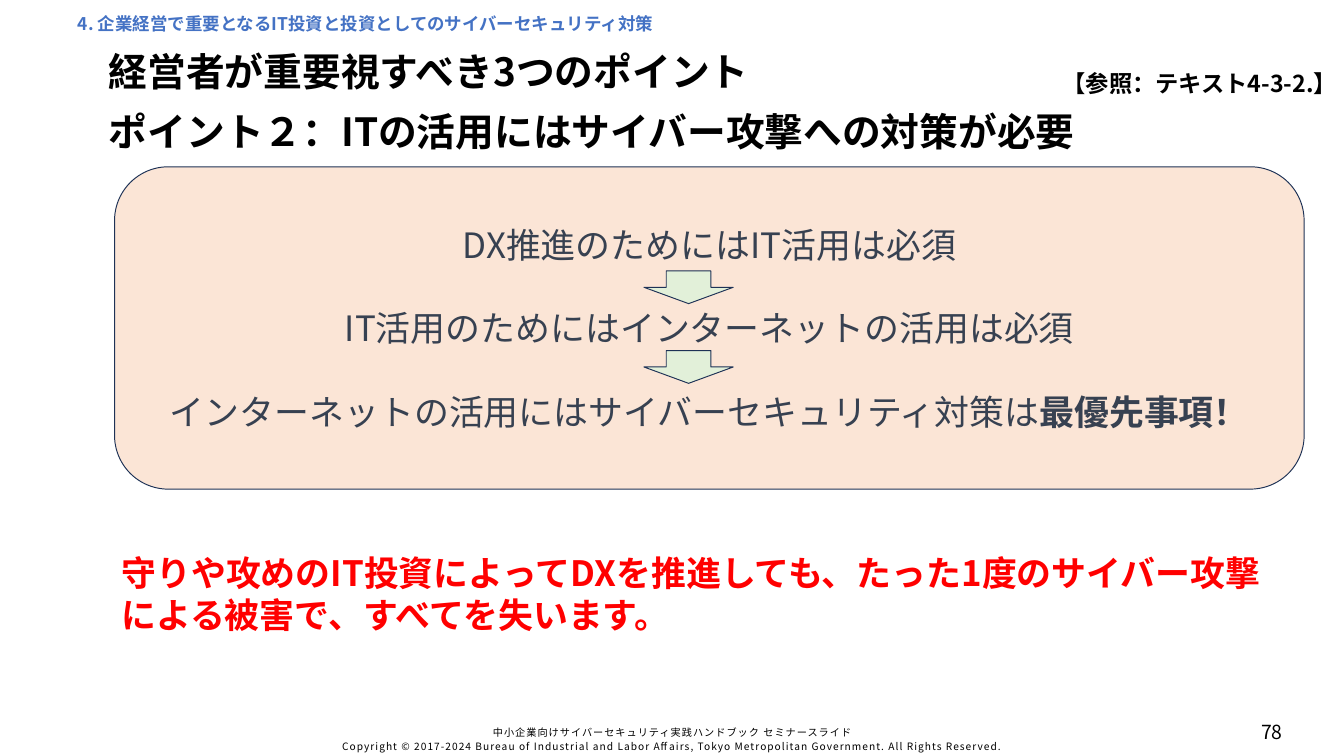
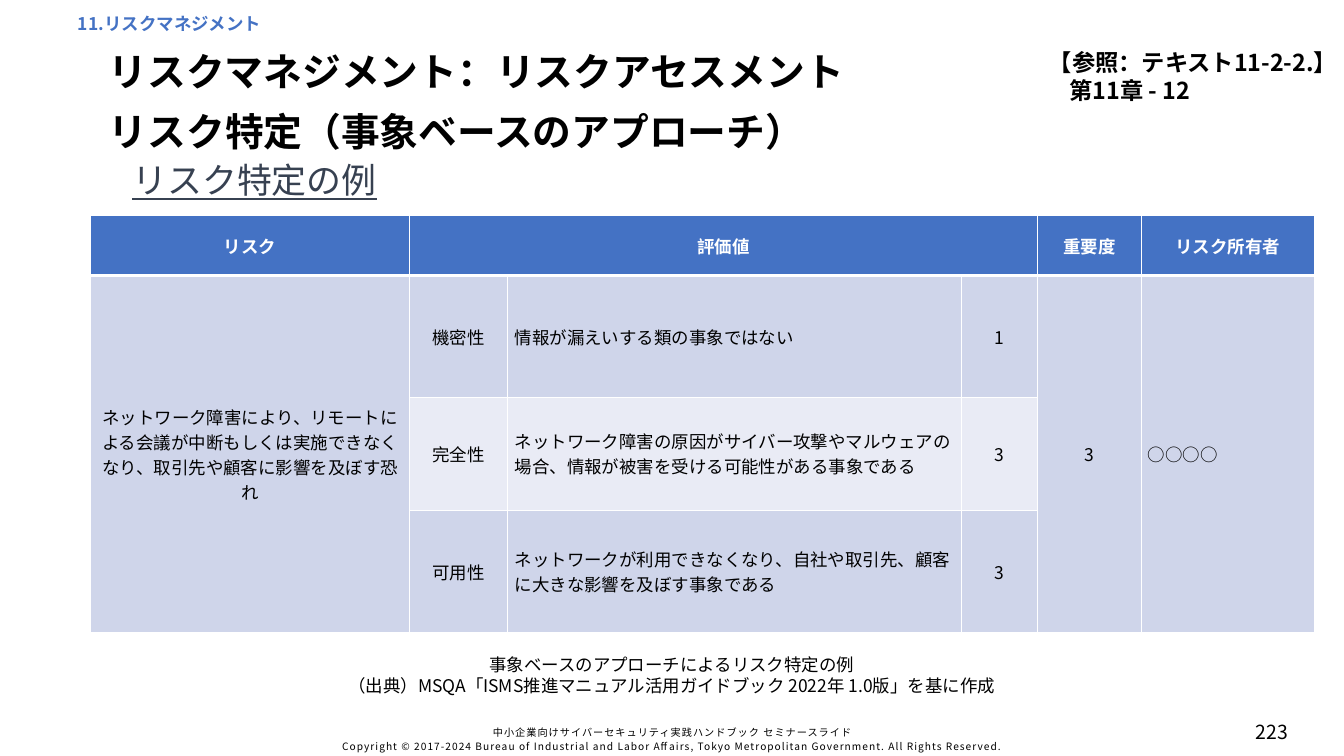
import pptx
import pptx.util
import pptx.dml.color
import pptx.enum.shapes
import pptx.enum.text
import pptx.oxml.ns
from lxml import etree

Cm, Pt = pptx.util.Cm, pptx.util.Pt
SHAPE = pptx.enum.shapes.MSO_SHAPE
ANCHOR = pptx.enum.text.MSO_ANCHOR
ALIGN = pptx.enum.text.PP_ALIGN
qn = pptx.oxml.ns.qn

FONT = "Noto Sans CJK JP"
COLORS = {
    "text": "000000", "heading": "4472C4", "slate": "374151", "alert": "FF0000",
    "white": "FFFFFF", "outline": "1E3256", "panel": "FBE5D6", "arrow": "E2F0D9",
    "band_dark": "CFD5EA", "band_light": "E9EBF5",
}
FOOTER = [
    "中小企業向けサイバーセキュリティ実践ハンドブック セミナースライド",
    "Copyright © 2017-2024 Bureau of Industrial and Labor Affairs, "
    "Tokyo Metropolitan Government. All Rights Reserved.",
]
TITLE_BOX = {"left": 3.71, "width": 41.5, "height": 1.55}


def rgb(name):
    return pptx.dml.color.RGBColor.from_string(COLORS[name])


def write(tf, lines, size, color="text", bold=False, align=ALIGN.LEFT,
          spacing=None, gap=0, tracking=None):
    """Fill a text frame; gap is the space in points between paragraphs."""
    tf.word_wrap = True
    for i, line in enumerate(lines):
        p = tf.paragraphs[0] if i == 0 else tf.add_paragraph()
        p.add_run().text = line
        p.alignment = align
        p.space_before = Pt(gap if i else 0)
        if spacing:
            p.line_spacing = spacing
        f = p.font
        f.size, f.bold, f.name = Pt(size), bold, FONT
        f.color.rgb = rgb(color)
        props = p._p.pPr.find(qn("a:defRPr"))
        etree.SubElement(props, qn("a:ea"), typeface=FONT)
        if tracking:
            props.set("spc", str(tracking))


def add_text(slide, left, top, width, height, lines, size,
             anchor=ANCHOR.TOP, **style):
    sp = slide.shapes.add_textbox(Cm(left), Cm(top), Cm(width), Cm(height))
    tf = sp.text_frame
    write(tf, lines, size, **style)
    tf.vertical_anchor = anchor
    return tf


def add_block(slide, kind, left, top, width, height, fill):
    sp = slide.shapes.add_shape(kind, Cm(left), Cm(top), Cm(width), Cm(height))
    sp.shadow.inherit = False
    sp.fill.solid()
    sp.fill.fore_color.rgb = rgb(fill)
    sp.line.color.rgb = rgb("outline")
    sp.line.width = Pt(1)
    return sp


def add_base_slide(prs, section, topic, title, number):
    """Add a slide with the section line, two-line heading and footer."""
    slide = prs.slides.add_slide(prs.slide_layouts[5])
    heading = {"size": 40, "bold": True, "spacing": 0.9}
    sp = slide.shapes.title
    sp.left, sp.top = Cm(TITLE_BOX["left"]), Cm(4.09)
    sp.width, sp.height = Cm(TITLE_BOX["width"]), Cm(TITLE_BOX["height"])
    tf = sp.text_frame
    tf.auto_size = pptx.enum.text.MSO_AUTO_SIZE.NONE
    tf.vertical_anchor = ANCHOR.MIDDLE
    write(tf, [title], **heading)
    add_text(slide, top=1.93, lines=[topic], anchor=ANCHOR.MIDDLE,
             **TITLE_BOX, **heading)

    tf = add_text(slide, 2.84, 0.71, 44.4, 0.64, [section], 18,
                  color="heading", bold=True, spacing=Pt(15))
    tf.margin_left = tf.margin_right = tf.margin_top = tf.margin_bottom = 0
    add_text(slide, 9.5, 26.24, 29.95, 1.3, FOOTER, 10.5, ANCHOR.MIDDLE,
             align=ALIGN.CENTER, spacing=1.1, tracking=110)
    add_text(slide, 44.15, 26.14, 4.29, 0.97, [number], 20, ANCHOR.MIDDLE,
             align=ALIGN.CENTER)
    return slide


def add_reference(slide, top, lines):
    tf = add_text(slide, 33.32, top, 15.6, 1.27 * len(lines), lines, 24,
                  bold=True, align=ALIGN.CENTER)
    tf.paragraphs[0].alignment = ALIGN.RIGHT


def set_borders(cell, bottom):
    props = cell._tc.get_or_add_tcPr()
    for side, width in (("L", 1), ("R", 1), ("T", 1), ("B", bottom)):
        ln = etree.SubElement(props, qn(f"a:ln{side}"), w=str(Pt(width)))
        fill = etree.SubElement(ln, qn("a:solidFill"))
        etree.SubElement(fill, qn("a:srgbClr"), val=COLORS["white"])


def add_risk_table(slide, left, top, widths, heights, rows, merges, left_columns):
    """Add the table; merges lists (first row, first column, last row, last column)."""
    table = slide.shapes.add_table(
        len(heights), len(widths), Cm(left), Cm(top),
        Cm(sum(widths)), Cm(sum(heights))).table
    for column, width in zip(table.columns, widths):
        column.width = Cm(width)
    for row, height in zip(table.rows, heights):
        row.height = Cm(height)
    for r, texts in enumerate(rows):
        header = r == 0
        band = "heading" if header else "band_dark" if r % 2 else "band_light"
        for c, text in enumerate(texts):
            cell = table.cell(r, c)
            set_borders(cell, 3 if header else 1)
            cell.fill.solid()
            cell.fill.fore_color.rgb = rgb(band)
            cell.vertical_anchor = ANCHOR.MIDDLE
            if text:
                flush = c in left_columns and not header
                write(cell.text_frame, [text], 18, bold=header,
                      color="white" if header else "text",
                      align=ALIGN.LEFT if flush else ALIGN.CENTER)
    for r1, c1, r2, c2 in merges:
        table.cell(r1, c1).merge(table.cell(r2, c2))


def build_security_slide(prs):
    slide = add_base_slide(
        prs, "4. 企業経営で重要となるIT投資と投資としてのサイバーセキュリティ対策",
        "経営者が重要視すべき3つのポイント",
        "ポイント２：ITの活用にはサイバー攻撃への対策が必要", "78")
    add_reference(slide, 2.41, ["【参照：テキスト4-3-2.】"])
    panel = add_block(slide, SHAPE.ROUNDED_RECTANGLE, 4.17, 6.07, 43.3, 11.73, "panel")
    tf = panel.text_frame
    tf.vertical_anchor = ANCHOR.MIDDLE
    write(tf, ["DX推進のためにはIT活用は必須",
               "IT活用のためにはインターネットの活用は必須",
               "インターネットの活用にはサイバーセキュリティ対策は"],
          36, color="slate", align=ALIGN.CENTER, gap=43)
    r = tf.paragraphs[-1].add_run()
    r.text = "最優先事項！"
    r.font.bold = True
    for i in range(2):
        add_block(slide, SHAPE.DOWN_ARROW, 23.44, 9.86 + 2.9 * i, 3.25, 1.19, "arrow")
    add_text(slide, 4.17, 19.94, 42.75, 3.33,
             ["守りや攻めのIT投資によってDXを推進しても、"
              "たった1度のサイバー攻撃による被害で、すべてを失います。"],
             36, color="alert", bold=True)


def build_risk_slide(prs):
    slide = add_base_slide(
        prs, "11.リスクマネジメント", "リスクマネジメント：リスクアセスメント",
        "リスク特定（事象ベースのアプローチ）", "223")
    add_reference(slide, 1.63, ["【参照：テキスト11-2-2.】", "第11章 - 12"])
    tf = add_text(slide, 4.57, 5.66, 42.93, 1.8, ["リスク特定の例"], 36, color="slate")
    tf.paragraphs[0].font.underline = True
    rows = [
        ["リスク", "評価値", "", "", "重要度", "リスク所有者"],
        ["ネットワーク障害により、リモートによる会議が中断もしくは実施できなくなり、"
         "取引先や顧客に影響を及ぼす恐れ",
         "機密性", "情報が漏えいする類の事象ではない", "1", "3", "○○○○"],
        ["", "完全性", "ネットワーク障害の原因がサイバー攻撃やマルウェアの場合、"
         "情報が被害を受ける可能性がある事象である", "3", "", ""],
        ["", "可用性", "ネットワークが利用できなくなり、自社や取引先、"
         "顧客に大きな影響を及ぼす事象である", "3", "", ""],
    ]
    merges = [(0, 1, 0, 3)] + [(1, c, 3, c) for c in (0, 4, 5)]
    add_risk_table(slide, 3.3, 7.85, [11.6, 3.58, 16.5, 2.79, 3.76, 6.32],
                   [2.18, 4.42, 4.11, 4.47], rows, merges, left_columns=(2, 5))
    add_text(slide, 10.95, 23.67, 27, 2.57,
             ["事象ベースのアプローチによるリスク特定の例",
              "（出典）MSQA「ISMS推進マニュアル活用ガイドブック 2022年 1.0版」を基に作成"],
             18, align=ALIGN.CENTER)


def main():
    prs = pptx.Presentation()
    prs.slide_width, prs.slide_height = Cm(48.92), Cm(27.51)
    build_security_slide(prs)
    build_risk_slide(prs)
    prs.save("out.pptx")


if __name__ == "__main__":
    main()
